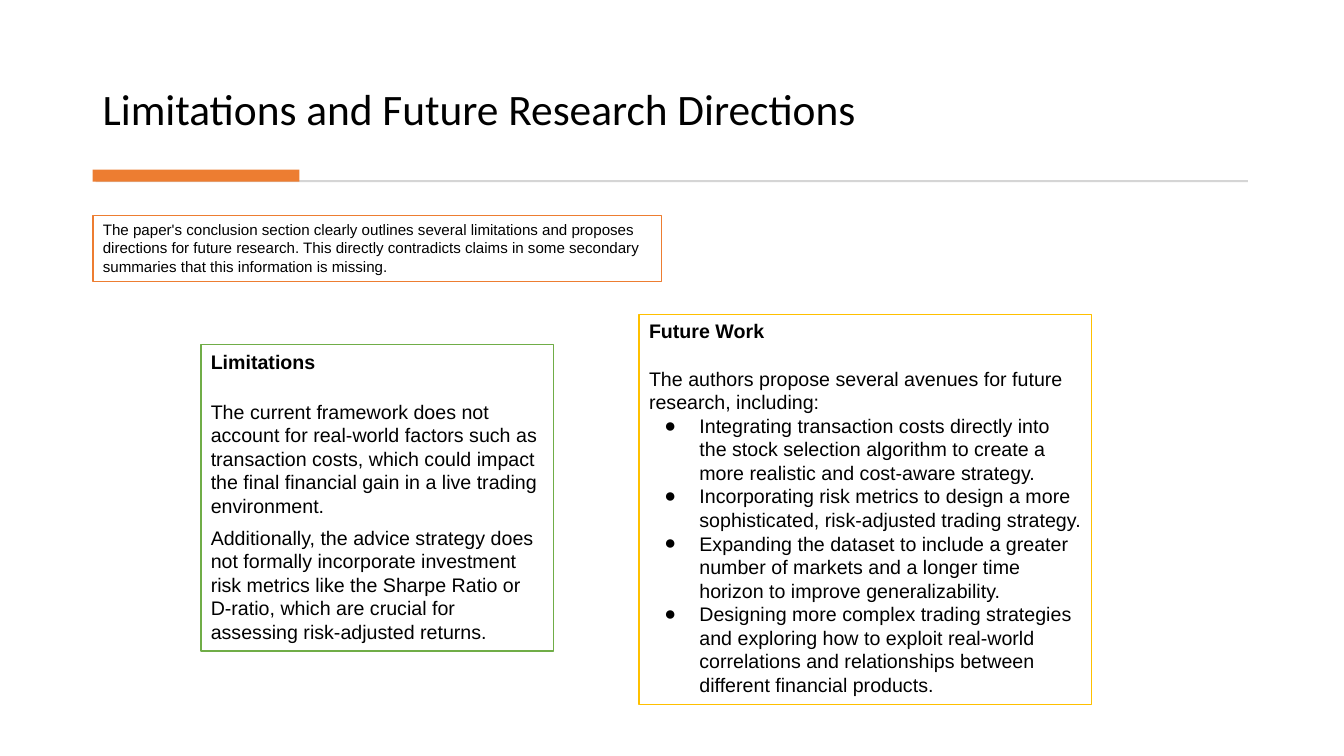
import pptx
import pptx.dml.color
import pptx.enum.shapes
import pptx.enum.text
import pptx.util
from lxml import etree

Pt = pptx.util.Pt
BLACK, WHITE, GREY = "000000", "FFFFFF", "D5D5D5"
ORANGE, GREEN, GOLD = "ED7D31", "70AD47", "FFC000"

INTRO = ("The paper's conclusion section clearly outlines several limitations and proposes "
         "directions for future research. This directly contradicts claims in some secondary "
         "summaries that this information is missing.")
LIMITATIONS = [
    "The current framework does not account for real-world factors such as transaction costs, "
    "which could impact the final financial gain in a live trading environment.",
    "Additionally, the advice strategy does not formally incorporate investment risk metrics "
    "like the Sharpe Ratio or D-ratio, which are crucial for assessing risk-adjusted returns.",
]
FUTURE_LEAD = "The authors propose several avenues for future research, including:"
FUTURE_WORK = [
    "Integrating transaction costs directly into the stock selection algorithm to create a "
    "more realistic and cost-aware strategy.",
    "Incorporating risk metrics to design a more sophisticated, risk-adjusted trading strategy.",
    "Expanding the dataset to include a greater number of markets and a longer time horizon "
    "to improve generalizability.",
    "Designing more complex trading strategies and exploring how to exploit real-world "
    "correlations and relationships between different financial products.",
]


def color(value):
    return pptx.dml.color.RGBColor.from_string(value)


def set_bullet(para, font):
    properties = para._p.get_or_add_pPr()
    properties.set("marL", str(Pt(36)))
    properties.set("indent", str(Pt(-25)))
    bullet_font = etree.SubElement(properties, pptx.oxml.ns.qn("a:buFont"))
    bullet_font.set("typeface", font)
    bullet = etree.SubElement(properties, pptx.oxml.ns.qn("a:buChar"))
    bullet.set("char", "●")


def add_text(frame, text, size=14, font="Arial", bold=False, before=0, spacing=1.0,
             bullet=False):
    """Fill the frame's empty first paragraph, or append a new one."""
    first = frame.paragraphs[0]
    para = frame.add_paragraph() if first.runs else first
    para.alignment = pptx.enum.text.PP_ALIGN.LEFT
    para.line_spacing = spacing
    para.space_before = Pt(before)
    if bullet:
        set_bullet(para, font)
    span = para.add_run()
    span.text = text
    span.font.size = Pt(size)
    span.font.name = font
    span.font.bold = bold
    span.font.color.rgb = color(BLACK)


def set_frame(frame, anchor):
    frame.word_wrap = True
    frame.vertical_anchor = anchor
    frame.margin_left = frame.margin_right = Pt(7.2)
    frame.margin_top = frame.margin_bottom = Pt(3.6)


def add_title(page, text, left, top, width, height):
    box = page.shapes.add_textbox(Pt(left), Pt(top), Pt(width), Pt(height))
    set_frame(box.text_frame, pptx.enum.text.MSO_ANCHOR.BOTTOM)
    add_text(box.text_frame, text, size=31, font="Calibri", spacing=0.9)


def add_rectangle(page, left, top, width, height, fill, line=None):
    box = page.shapes.add_shape(pptx.enum.shapes.MSO_SHAPE.RECTANGLE,
                                Pt(left), Pt(top), Pt(width), Pt(height))
    box.shadow.inherit = False
    box.fill.solid()
    box.fill.fore_color.rgb = color(fill)
    if line:
        box.line.color.rgb = color(line)
        box.line.width = Pt(1)
    else:
        box.line.fill.background()
    return box


def add_panel(page, left, top, width, height, line):
    """Add an outlined white box and return its text frame."""
    box = add_rectangle(page, left, top, width, height, WHITE, line)
    set_frame(box.text_frame, pptx.enum.text.MSO_ANCHOR.TOP)
    return box.text_frame


def main():
    deck = pptx.Presentation()
    deck.slide_width, deck.slide_height = Pt(960), Pt(540)
    page = deck.slides.add_slide(deck.slide_layouts[6])

    add_title(page, "Limitations and Future Research Directions", 66.2, 20.2, 827.3, 79.9)
    add_rectangle(page, 68.4, 128.6, 823, 1.5, GREY)
    add_rectangle(page, 66.2, 121.2, 147.6, 8.6, ORANGE)

    intro = add_panel(page, 66.4, 154.1, 406.1, 46.8, ORANGE)
    add_text(intro, INTRO, size=10.8)

    limitations = add_panel(page, 143.5, 246.2, 252, 218.9, GREEN)
    add_text(limitations, "Limitations", bold=True)
    for text, before in zip(LIMITATIONS, (19, 6)):
        add_text(limitations, text, before=before)

    future = add_panel(page, 456.5, 224.6, 323.3, 278.6, GOLD)
    add_text(future, "Future Work", bold=True)
    add_text(future, FUTURE_LEAD, before=17)
    for text in FUTURE_WORK:
        add_text(future, text, bullet=True)

    deck.save("out.pptx")


if __name__ == "__main__":
    main()
